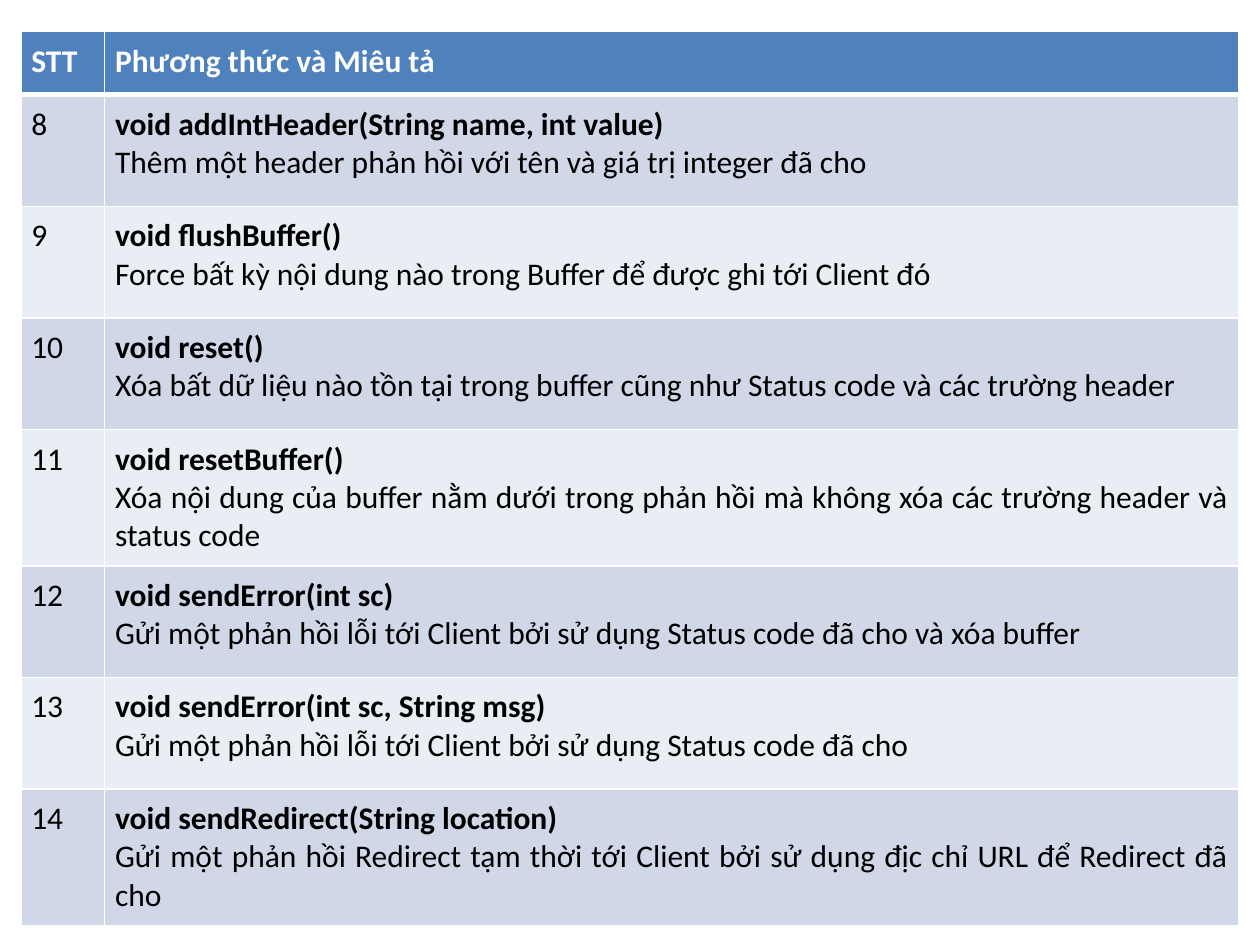
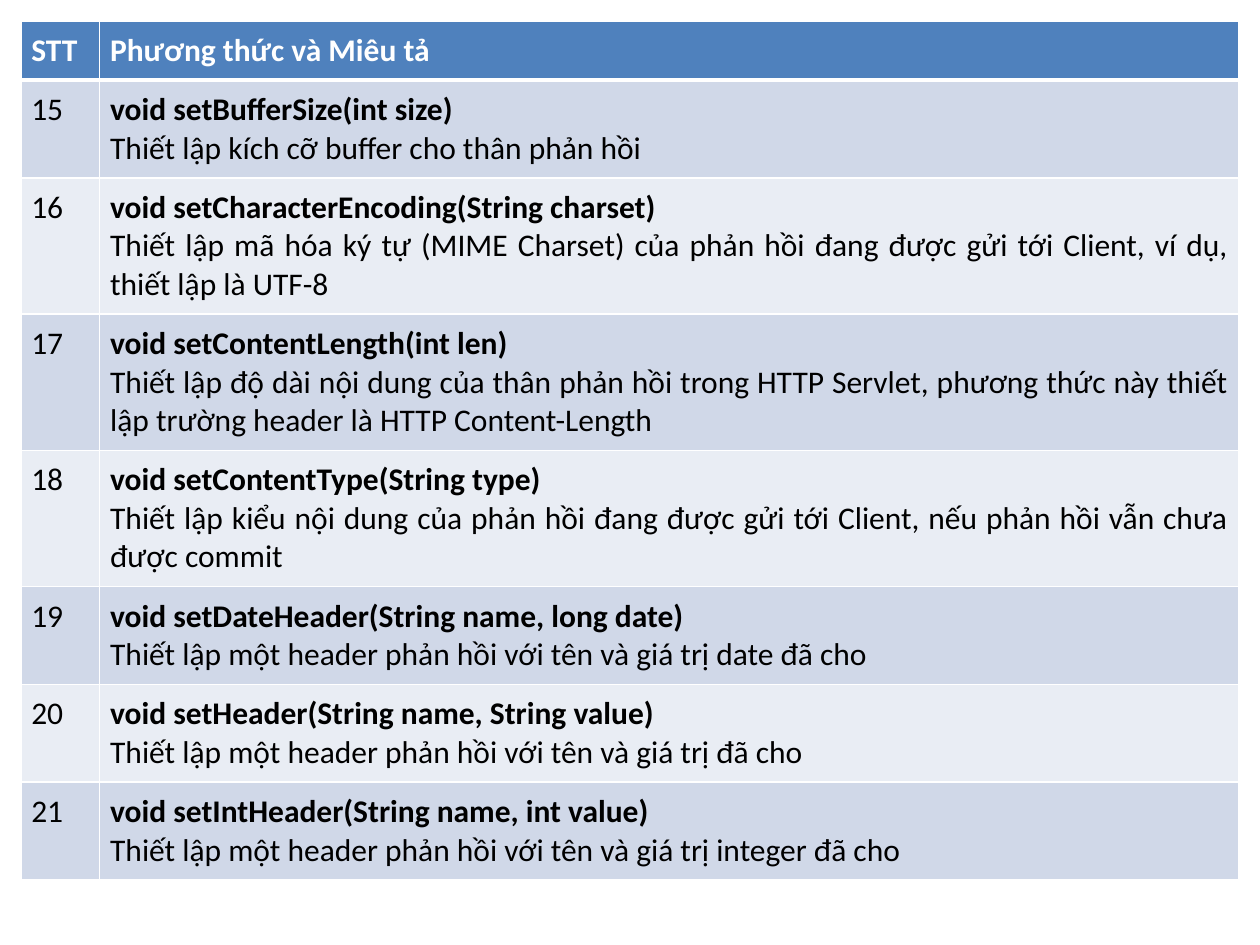
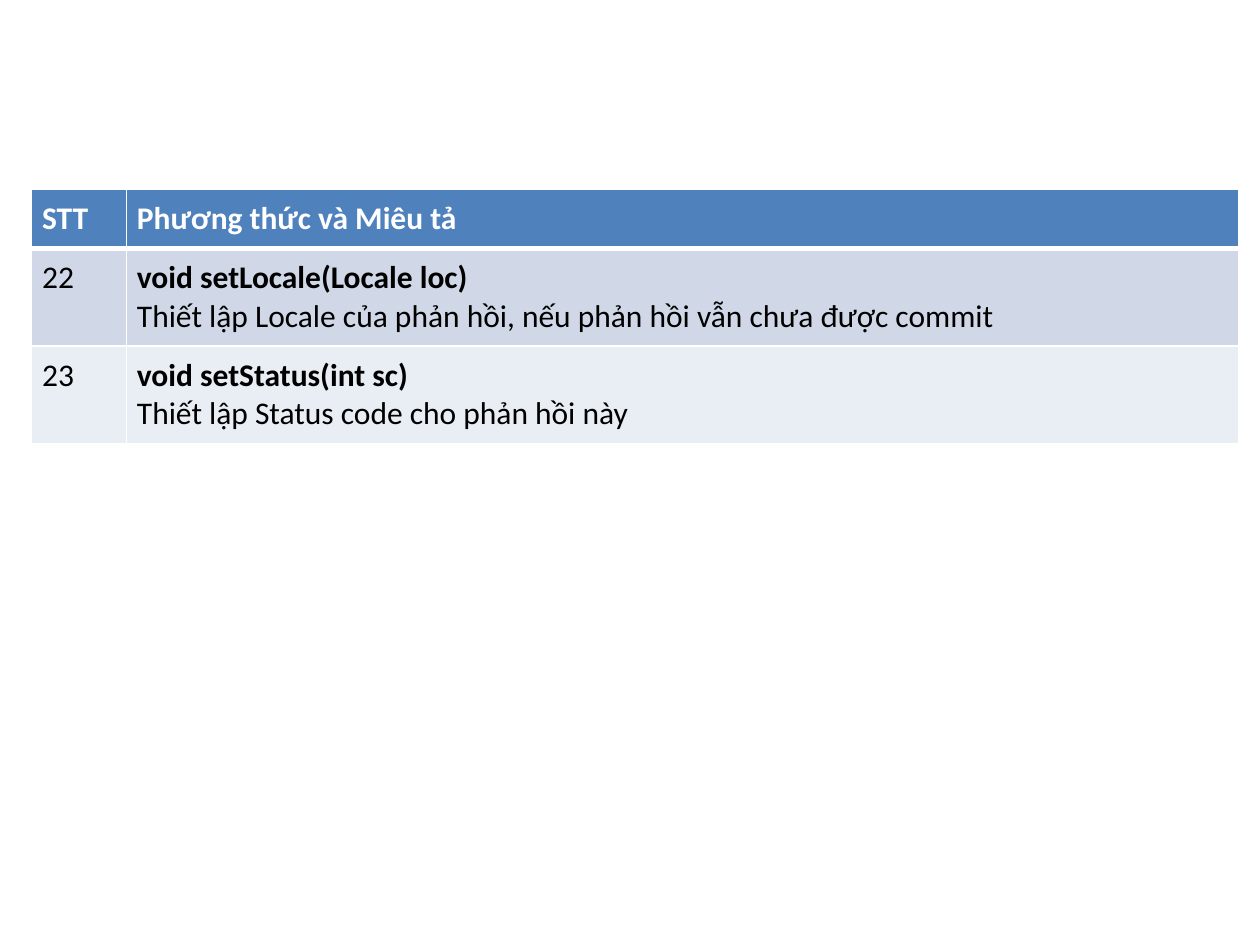
from lxml import etree
from pptx import Presentation
from pptx.dml.color import RGBColor
from pptx.enum.text import PP_ALIGN
from pptx.oxml.ns import qn
from pptx.util import Cm, Pt

LEFT, JUSTIFY = PP_ALIGN.LEFT, PP_ALIGN.JUSTIFY

WHITE = RGBColor(0xFF, 0xFF, 0xFF)
BLACK = RGBColor(0x00, 0x00, 0x00)
HEADER_BLUE = RGBColor(0x4F, 0x81, 0xBD)
BANDS = (RGBColor(0xD0, 0xD8, 0xE8), RGBColor(0xE9, 0xED, 0xF4))

FONT = {"name": "Calibri", "size": Pt(18)}
MARGINS = dict.fromkeys(
    ("margin_left", "margin_right", "margin_top", "margin_bottom"), Cm(0.21))
RIGHT_EDGE = 24.98
THIN, THICK = Pt(1), Pt(3)

HEADINGS = ("STT", "Phương thức và Miêu tả")

# Lengths in cm; rows grow when their text needs more room.
TABLES = [
    {"left": 0.42, "top": 0.64, "number_width": 1.69,
     "header_height": 1.27, "row_height": 2.25, "first_number": 8,
     "methods": [
         ("void addIntHeader(String name, int value)",
          "Thêm một header phản hồi với tên và giá trị integer đã cho"),
         ("void flushBuffer()",
          "Force bất kỳ nội dung nào trong Buffer để được ghi tới Client đó"),
         ("void reset()",
          "Xóa bất dữ liệu nào tồn tại trong buffer cũng như Status code và các "
          "trường header"),
         ("void resetBuffer()",
          "Xóa nội dung của buffer nằm dưới trong phản hồi mà không xóa các "
          "trường header và status code"),
         ("void sendError(int sc)",
          "Gửi một phản hồi lỗi tới Client bởi sử dụng Status code đã cho và "
          "xóa buffer"),
         ("void sendError(int sc, String msg)",
          "Gửi một phản hồi lỗi tới Client bởi sử dụng Status code đã cho"),
         ("void sendRedirect(String location)",
          "Gửi một phản hồi Redirect tạm thời tới Client bởi sử dụng địc chỉ "
          "URL để Redirect đã cho"),
     ]},
    {"left": 0.42, "top": 0.42, "number_width": 1.59,
     "header_height": 1.03, "row_height": 1.03, "first_number": 15,
     "methods": [
         ("void setBufferSize(int size)",
          "Thiết lập kích cỡ buffer cho thân phản hồi"),
         ("void setCharacterEncoding(String charset)",
          "Thiết lập mã hóa ký tự (MIME Charset) của phản hồi đang được gửi tới "
          "Client, ví dụ, thiết lập là UTF-8"),
         ("void setContentLength(int len)",
          "Thiết lập độ dài nội dung của thân phản hồi trong HTTP Servlet, "
          "phương thức này thiết lập trường header là HTTP Content-Length"),
         ("void setContentType(String type)",
          "Thiết lập kiểu nội dung của phản hồi đang được gửi tới Client, nếu "
          "phản hồi vẫn chưa được commit"),
         ("void setDateHeader(String name, long date)",
          "Thiết lập một header phản hồi với tên và giá trị date đã cho"),
         ("void setHeader(String name, String value)",
          "Thiết lập một header phản hồi với tên và giá trị đã cho"),
         ("void setIntHeader(String name, int value)",
          "Thiết lập một header phản hồi với tên và giá trị integer đã cho"),
     ]},
    {"left": 0.64, "top": 3.81, "number_width": 1.91,
     "header_height": 1.03, "row_height": 1.03, "first_number": 22,
     "methods": [
         ("void setLocale(Locale loc)",
          "Thiết lập Locale của phản hồi, nếu phản hồi vẫn chưa được commit"),
         ("void setStatus(int sc)",
          "Thiết lập Status code cho phản hồi này"),
     ]},
]


def set_attrs(obj, values):
    for name, value in values.items():
        setattr(obj, name, value)


def set_borders(cell, top, bottom):
    """Draw white borders; they must precede the fill in the cell properties."""
    tc_pr = cell._tc.get_or_add_tcPr()
    widths = {"a:lnL": THIN, "a:lnR": THIN, "a:lnT": top, "a:lnB": bottom}
    for i, (tag, width) in enumerate(widths.items()):
        ln = etree.Element(qn(tag), w=str(width))
        fill = etree.SubElement(ln, qn("a:solidFill"))
        etree.SubElement(fill, qn("a:srgbClr"), val=str(WHITE))
        tc_pr.insert(i, ln)


def fill_cell(cell, lines, fill, color, align=LEFT):
    """Write (text, bold) lines, one paragraph each, on a filled cell."""
    set_attrs(cell, MARGINS)
    cell.fill.solid()
    cell.fill.fore_color.rgb = fill
    tf = cell.text_frame
    for i, (text, bold) in enumerate(lines):
        p = tf.add_paragraph() if i else tf.paragraphs[0]
        p.alignment = align
        r = p.add_run()
        r.text = text
        set_attrs(r.font, {**FONT, "bold": bold})
        r.font.color.rgb = color


def add_method_table(slide, left, top, number_width, header_height, row_height,
                     first_number, methods):
    width = RIGHT_EDGE - left
    height = header_height + row_height * len(methods)
    table = slide.shapes.add_table(len(methods) + 1, 2, Cm(left), Cm(top),
                                   Cm(width), Cm(height)).table
    table.columns[0].width = Cm(number_width)
    table.columns[1].width = Cm(width - number_width)
    for i, row in enumerate(table.rows):
        row.height = Cm(row_height if i else header_height)
        for cell in row.cells:
            set_borders(cell, THICK if i == 1 else THIN, THIN if i else THICK)

    for cell, heading in zip(table.rows[0].cells, HEADINGS):
        fill_cell(cell, [(heading, True)], HEADER_BLUE, WHITE)
    for i, (signature, description) in enumerate(methods):
        band = BANDS[i % 2]
        fill_cell(table.cell(i + 1, 0), [(str(first_number + i), False)], band, BLACK)
        fill_cell(table.cell(i + 1, 1), [(signature, True), (description, False)],
                  band, BLACK, JUSTIFY)


def main():
    prs = Presentation()
    prs.slide_width, prs.slide_height = Cm(25.4), Cm(19.05)
    for spec_table in TABLES:
        add_method_table(prs.slides.add_slide(prs.slide_layouts[6]), **spec_table)
    prs.save("out.pptx")


if __name__ == "__main__":
    main()
